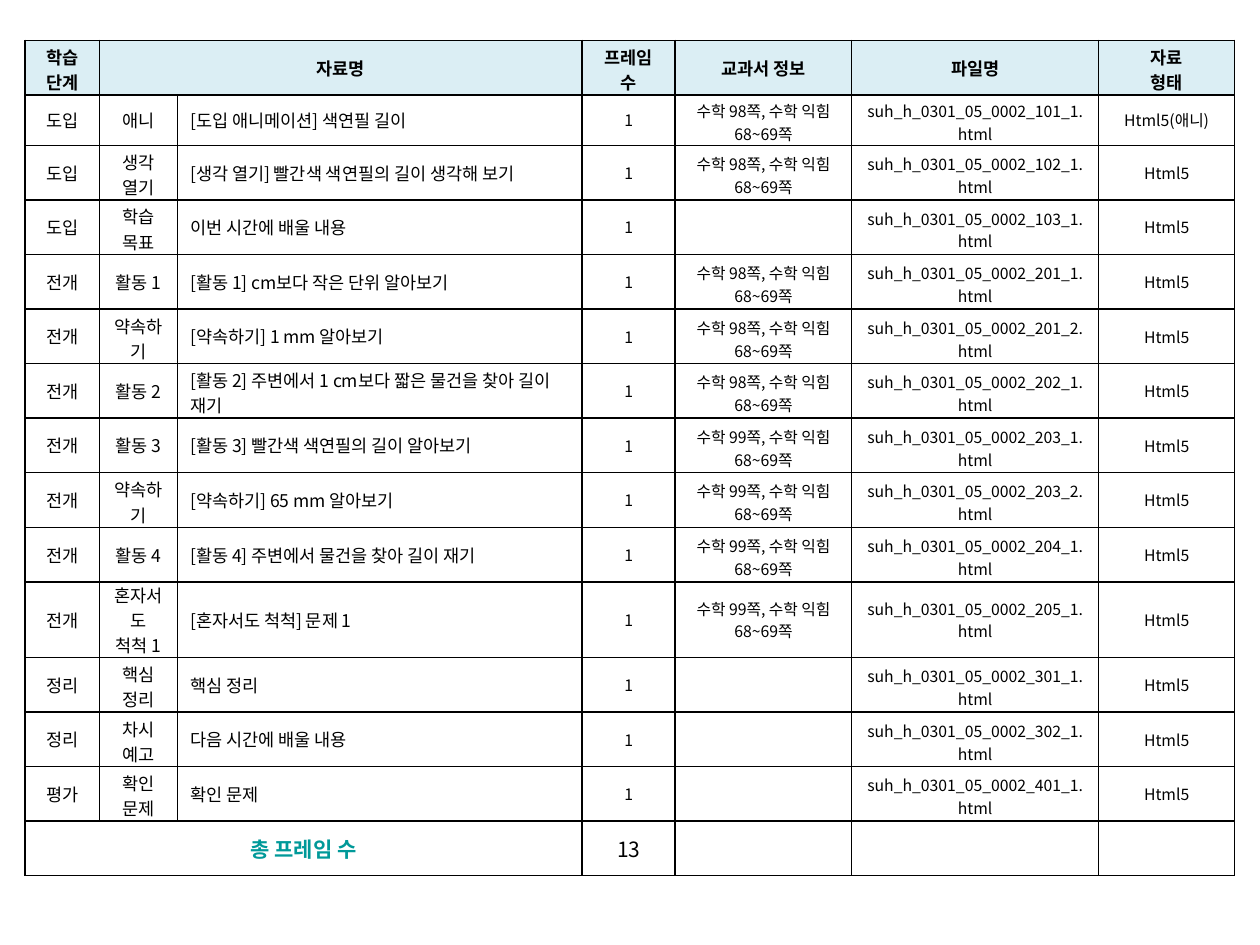
import pptx
import pptx.util
import pptx.dml.color
import pptx.enum.text
import pptx.oxml.ns
from lxml import etree

FONT = "Noto Sans CJK KR"
Inches = pptx.util.Inches
ALIGN = pptx.enum.text.PP_ALIGN
qn = pptx.oxml.ns.qn

# Top and bottom cell insets; wrapped text needs tighter ones to keep its row low
NORMAL, SNUG, TIGHT, NONE = (0.05, 0.05), (0.05, 0.01), (0.03, 0), (0, 0)


def rgb(color):
    return pptx.dml.color.RGBColor.from_string(color)


def fill_cell(cell, text, size=9, bold=False, color="000000",
              align=ALIGN.CENTER, fill=None, inset=NORMAL):
    # Black 1 pt borders go before the fill in the cell properties
    tcPr = cell._tc.get_or_add_tcPr()
    for side in ("a:lnL", "a:lnR", "a:lnT", "a:lnB"):
        ln = etree.SubElement(tcPr, qn(side), w=str(pptx.util.Pt(1)))
        solid = etree.SubElement(ln, qn("a:solidFill"))
        etree.SubElement(solid, qn("a:srgbClr"), val="000000")
    if fill:
        cell.fill.solid()
        cell.fill.fore_color.rgb = rgb(fill)
    else:
        cell.fill.background()
    cell.vertical_anchor = pptx.enum.text.MSO_ANCHOR.MIDDLE
    cell.margin_top, cell.margin_bottom = Inches(inset[0]), Inches(inset[1])

    tf = cell.text_frame
    for i, line in enumerate(text.split("\n")):
        p = tf.add_paragraph() if i else tf.paragraphs[0]
        p.alignment = align
        if not line:
            # An empty cell must not stretch its row
            etree.SubElement(p._p, qn("a:endParaRPr"), sz=str(size * 100))
            continue
        r = p.add_run()
        r.text = line
        r.font.size = pptx.util.Pt(size)
        r.font.bold = bold
        r.font.color.rgb = rgb(color)
        r.font.name = FONT
        etree.SubElement(r._r.get_or_add_rPr(), qn("a:ea"), typeface=FONT)


headers = ["학습 단계", "자료명", "", "프레임 수", "교과서 정보", "파일명", "자료\n형태"]

# Stage, part, title, textbook page, file number
lessons = [
    ("도입", "애니", "[도입 애니메이션] 색연필 길이", 98, "101_1"),
    ("도입", "생각 열기", "[생각 열기] 빨간색 색연필의 길이 생각해 보기", 98, "102_1"),
    ("도입", "학습 목표", "이번 시간에 배울 내용", None, "103_1"),
    ("전개", "활동 1", "[활동 1] cm보다 작은 단위 알아보기", 98, "201_1"),
    ("전개", "약속하기", "[약속하기] 1 mm 알아보기", 98, "201_2"),
    ("전개", "활동 2", "[활동 2] 주변에서 1 cm보다 짧은 물건을 찾아 길이 재기", 98, "202_1"),
    ("전개", "활동 3", "[활동 3] 빨간색 색연필의 길이 알아보기", 99, "203_1"),
    ("전개", "약속하기", "[약속하기] 65 mm 알아보기", 99, "203_2"),
    ("전개", "활동 4", "[활동 4] 주변에서 물건을 찾아 길이 재기", 99, "204_1"),
    ("전개", "혼자서도\n척척 1", "[혼자서도 척척] 문제 1", 99, "205_1"),
    ("정리", "핵심 정리", "핵심 정리", None, "301_1"),
    ("정리", "차시 예고", "다음 시간에 배울 내용", None, "302_1"),
    ("평가", "확인 문제", "확인 문제", None, "401_1"),
]

prs = pptx.Presentation()
prs.slide_width, prs.slide_height = Inches(10), Inches(7.5)
s = prs.slides.add_slide(prs.slide_layouts[6])

# Table grid: one low row, one tall row, the rest share the height equally
LOW, TALL = 1, 10
total_height = 6.63
widths = [0.59, 0.62, 3.21, 0.74, 1.4, 1.96, 1.08]
heights = [(total_height - 0.4 - 0.6) / 13] * 15
heights[LOW], heights[TALL] = 0.4, 0.6
table = s.shapes.add_table(len(heights), len(widths), Inches(0.2), Inches(0.32),
                           Inches(sum(widths)), Inches(total_height)).table
table.first_row = table.horz_banding = False
for column, width in zip(table.columns, widths):
    column.width = Inches(width)
for row, height in zip(table.rows, heights):
    row.height = Inches(height)
last = len(heights) - 1
table.cell(0, 1).merge(table.cell(0, 2))
table.cell(last, 0).merge(table.cell(last, 2))

# Header row
for col, text in enumerate(headers):
    fill_cell(table.cell(0, col), text, size=10, bold=True, fill="DBEEF4",
              inset=TIGHT if col in (0, 3, 6) else NORMAL)

# Lesson rows
for row, (stage, part, title, page, number) in enumerate(lessons, 1):
    pages = f"수학 {page}쪽, 수학 익힘 68~69쪽" if page else ""
    kind = "Html5(애니)" if part == "애니" else "Html5"
    texts = [stage, part, title, "1", pages, f"suh_h_0301_05_0002_{number}.html", kind]
    insets = [NORMAL] * len(texts)
    if row == TALL:
        insets[1] = NONE
    else:
        if len(part) >= 4 and not part.startswith("활동"):
            insets[1] = TIGHT
        if len(title) > 30:
            insets[2] = TIGHT
        insets[4] = insets[5] = TIGHT if row == LOW else SNUG
    for col, (text, inset) in enumerate(zip(texts, insets)):
        fill_cell(table.cell(row, col), text, size=10 if col < 3 else 9, inset=inset,
                  align=ALIGN.LEFT if col == 2 else ALIGN.CENTER)

# Total row
fill_cell(table.cell(last, 0), "총 프레임 수", size=12, bold=True, color="009999")
for col, text in enumerate(["", "", str(len(lessons)), "", "", ""], 1):
    fill_cell(table.cell(last, col), text, size=12)

prs.save("out.pptx")
